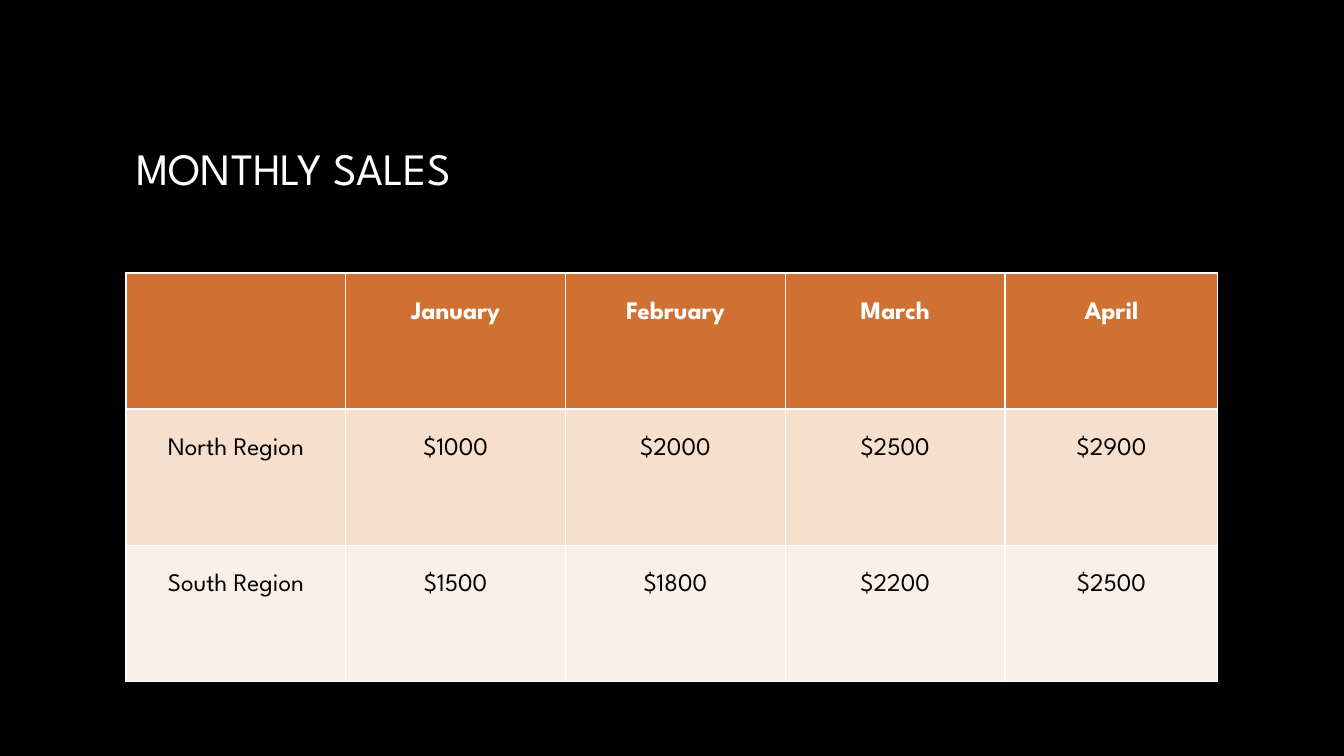
from pptx import Presentation
from pptx.dml.color import RGBColor
from pptx.enum.text import MSO_ANCHOR, MSO_AUTO_SIZE, PP_ALIGN
from pptx.oxml import parse_xml
from pptx.oxml.ns import nsdecls
from pptx.util import Pt

FONT = "League Spartan"
COLORS = {
    "background": "000000",
    "title": "FFFFFF",
    "border": "FFFFFF",
    "header": "CF7133",
    "header_text": "FFFFFF",
    "north": "F7DFCE",
    "south": "FBF0E8",
    "body_text": "000000",
}
SALES = [
    ["", "January", "February", "March", "April"],
    ["North Region", "$1000", "$2000", "$2500", "$2900"],
    ["South Region", "$1500", "$1800", "$2200", "$2500"],
]
ROW_FILLS = ["header", "north", "south"]
REGION_WIDTH = 157
LAST_MONTH_WIDTH = 152


def color(name):
    return RGBColor.from_string(COLORS[name])


def set_attributes(target, values):
    for name, value in values.items():
        setattr(target, name, value)


def style_font(font, size, color_name, bold=False):
    set_attributes(font, {"name": FONT, "size": Pt(size), "bold": bold})
    font.color.rgb = color(color_name)


def add_title(slide, left, top, width, height):
    title = slide.shapes.title
    set_attributes(title, {"left": Pt(left), "top": Pt(top),
                           "width": Pt(width), "height": Pt(height)})
    frame = title.text_frame
    set_attributes(frame, {"text": "MONTHLY SALES", "word_wrap": True,
                           "auto_size": MSO_AUTO_SIZE.NONE,
                           "vertical_anchor": MSO_ANCHOR.MIDDLE})
    heading = frame.paragraphs[0]
    heading.alignment = PP_ALIGN.LEFT
    style_font(heading.runs[0].font, 32, "title")


def add_borders(cell):
    properties = cell._tc.get_or_add_tcPr()
    for side in ("lnL", "lnR", "lnT", "lnB"):
        properties.append(parse_xml(
            f'<a:{side} {nsdecls("a")} w="{Pt(1)}"><a:solidFill>'
            f'<a:srgbClr val="{COLORS["border"]}"/></a:solidFill></a:{side}>'))


def fill_cell(cell, text, fill_name, is_header):
    add_borders(cell)
    cell.fill.solid()
    cell.fill.fore_color.rgb = color(fill_name)
    set_attributes(cell, {"text": text, "margin_top": Pt(20.5),
                          "vertical_anchor": MSO_ANCHOR.TOP})
    paragraph = cell.text_frame.paragraphs[0]
    paragraph.alignment = PP_ALIGN.CENTER
    for run in paragraph.runs:
        style_font(run.font, 18, "header_text" if is_header else "body_text", is_header)


def add_sales_table(slide, left, top, width, height):
    table = slide.shapes.add_table(len(SALES), len(SALES[0]), Pt(left), Pt(top),
                                   Pt(width), Pt(height)).table
    for column in table.columns:
        column.width = Pt(REGION_WIDTH)
    table.columns[len(SALES[0]) - 1].width = Pt(LAST_MONTH_WIDTH)
    for row_index, (values, fill_name) in enumerate(zip(SALES, ROW_FILLS)):
        table.rows[row_index].height = Pt(height / len(SALES))
        for column_index, value in enumerate(values):
            fill_cell(table.cell(row_index, column_index), value, fill_name,
                      row_index == 0)


def main():
    presentation = Presentation()
    set_attributes(presentation, {"slide_width": Pt(960), "slide_height": Pt(540)})
    slide = presentation.slides.add_slide(presentation.slide_layouts[5])
    slide.background.fill.solid()
    slide.background.fill.fore_color.rgb = color("background")
    add_title(slide, 90, 45, 780, 150)
    add_sales_table(slide, 90, 195, 780, 291.6)
    presentation.save("out.pptx")


if __name__ == "__main__":
    main()
